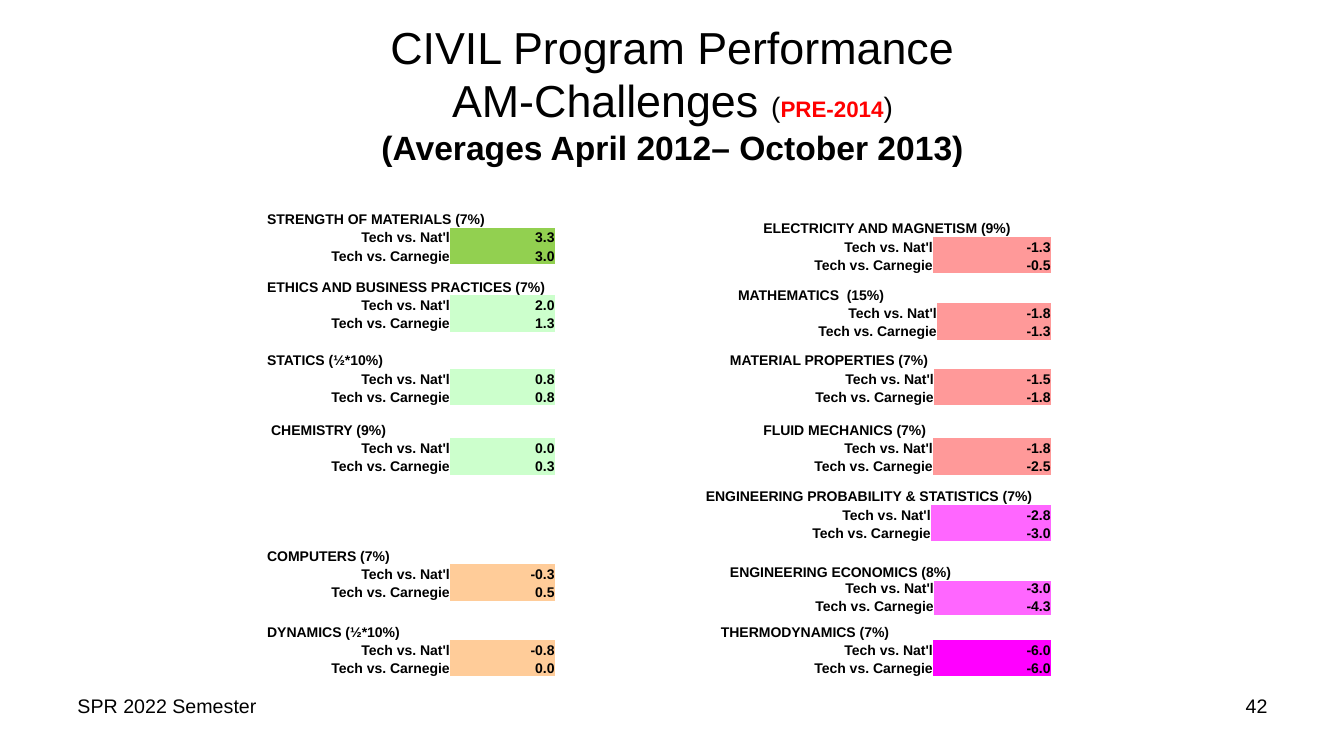
from pptx import Presentation
from pptx.dml.color import RGBColor
from pptx.enum import text as tx
from pptx.util import Inches, Pt

COLORS = {
    "black": "000000", "red": "FF0000", "green": "92D050", "mint": "CCFFCC",
    "peach": "FFCC99", "rose": "FF9999", "pink": "FF66FF", "fuchsia": "FF00FF",
}
PLAIN = "{2D5ABB26-0587-4C30-8999-92F81FD0307C}"
LABELS = ("Tech vs. Nat'l", "Tech vs. Carnegie")
ROW = 0.18
LEFT = [
    ("STRENGTH OF MATERIALS (7%)", 2.08, "green", ("3.3", "3.0"), 0.15),
    ("ETHICS AND BUSINESS PRACTICES (7%)", 2.75, "mint", ("2.0", "1.3"), 0.15),
    ("STATICS (½*10%)", 3.48, "mint", ("0.8", "0.8"), 0.15),
    ("CHEMISTRY (9%)", 4.17, "mint", ("0.0", "0.3"), 0.19),
    ("COMPUTERS (7%)", 5.42, "peach", ("-0.3", "0.5"), 0.15),
    ("DYNAMICS (½*10%)", 6.17, "peach", ("-0.8", "0.0"), 0.15),
]
RIGHT = [
    ("ELECTRICITY AND MAGNETISM (9%)", 2.17, "rose", ("-1.3", "-0.5"), 0.15, 3, 1.17),
    ("MATHEMATICS  (15%)", 2.83, "rose", ("-1.8", "-1.3"), 0.15, 3.25, 1.13),
    ("MATERIAL PROPERTIES (7%)", 3.48, "rose", ("-1.5", "-1.8"), 0.15, 3.33, 1.16),
    ("FLUID MECHANICS (7%)", 4.17, "rose", ("-1.8", "-2.5"), 0.15, 3, 1.17),
    ("ENGINEERING PROBABILITY & STATISTICS (7%)", 4.83, "pink", ("-2.8", "-3.0"), 0, 3.42, 1.19),
    ("ENGINEERING ECONOMICS (8%)", 5.58, "pink", ("-3.0", "-4.3"), 0.15, 3.33, 1.16, 0.16),
    ("THERMODYNAMICS (7%)", 6.17, "fuchsia", ("-6.0", "-6.0"), 0.15, 3.42, 1.17),
]


def style(item, **values):
    for name, value in values.items():
        setattr(item, name, value)


def write(para, words, size, color="black", bold=False):
    run = para.add_run()
    run.text = words
    style(run.font, name="Arial", size=Pt(size), bold=bold)
    run.font.color.rgb = RGBColor.from_string(COLORS[color])
    return run


def place(shape, box):
    for name, value in zip(("left", "top", "width", "height"), box):
        setattr(shape, name, Inches(value))


def heading(slide, box):
    title = slide.shapes.title
    place(title, box)
    frame = title.text_frame
    style(frame, word_wrap=True, auto_size=tx.MSO_AUTO_SIZE.NONE,
          vertical_anchor=tx.MSO_ANCHOR.MIDDLE)
    para = frame.paragraphs[0]
    para.alignment = tx.PP_ALIGN.CENTER
    write(para, "CIVIL Program Performance", 32)
    para.add_line_break()
    write(para, "AM-Challenges ", 32)
    write(para, "(", 20)
    era = write(para, "pre-2014", 20, "red", True)
    era._r.get_or_add_rPr().set("cap", "small")
    write(para, ")", 20)
    para.add_line_break()
    write(para, "(Averages April 2012– October 2013)", 24, bold=True)


def fill_cell(cell, words, align, indent=0):
    style(cell, margin_left=Inches(indent), margin_right=0, margin_top=0,
          margin_bottom=0, vertical_anchor=tx.MSO_ANCHOR.BOTTOM)
    cell.fill.background()
    para = cell.text_frame.paragraphs[0]
    para.alignment = align
    write(para, words, 10, bold=True)


def subject(slide, edge, name, top, color, scores, indent, width=3, value=1.04, mid=ROW):
    rows = (ROW, mid, ROW)
    box = [Inches(n) for n in (edge - width, top, width, sum(rows))]
    table = slide.shapes.add_table(3, 2, *box).table
    style(table, first_row=False, horz_banding=False)
    table._tbl.tblPr[0].text = PLAIN
    for col, size in zip(table.columns, (width - value, value)):
        col.width = Inches(size)
    for row, size in zip(table.rows, rows):
        row.height = Inches(size)
    table.cell(0, 0).merge(table.cell(0, 1))
    fill_cell(table.cell(0, 0), name, tx.PP_ALIGN.LEFT, indent)
    for i, (label, score) in enumerate(zip(LABELS, scores), 1):
        fill_cell(table.cell(i, 0), label, tx.PP_ALIGN.RIGHT)
        fill_cell(table.cell(i, 1), score, tx.PP_ALIGN.RIGHT)
        fill = table.cell(i, 1).fill
        fill.solid()
        fill.fore_color.rgb = RGBColor.from_string(COLORS[color])


def column(slide, edge, subjects):
    for entry in subjects:
        subject(slide, edge, *entry)


def footer(slide, box, words, align):
    frame = slide.shapes.add_textbox(*[Inches(n) for n in box]).text_frame
    frame.word_wrap = True
    para = frame.paragraphs[0]
    para.alignment = align
    write(para, words, 14)


def main():
    deck = Presentation()
    style(deck, slide_width=Inches(13.33), slide_height=Inches(7.5))
    slide = deck.slides.add_slide(deck.slide_layouts.get_by_name("Title Only"))
    heading(slide, (0.67, 0.3, 12, 1.25))
    column(slide, 5.5, LEFT)
    column(slide, 10.42, RIGHT)
    footer(slide, (0.67, 6.83, 3.11, 0.52), "SPR 2022 Semester", tx.PP_ALIGN.LEFT)
    footer(slide, (9.56, 6.83, 3.11, 0.52), "42", tx.PP_ALIGN.RIGHT)
    deck.save("out.pptx")


if __name__ == "__main__":
    main()
